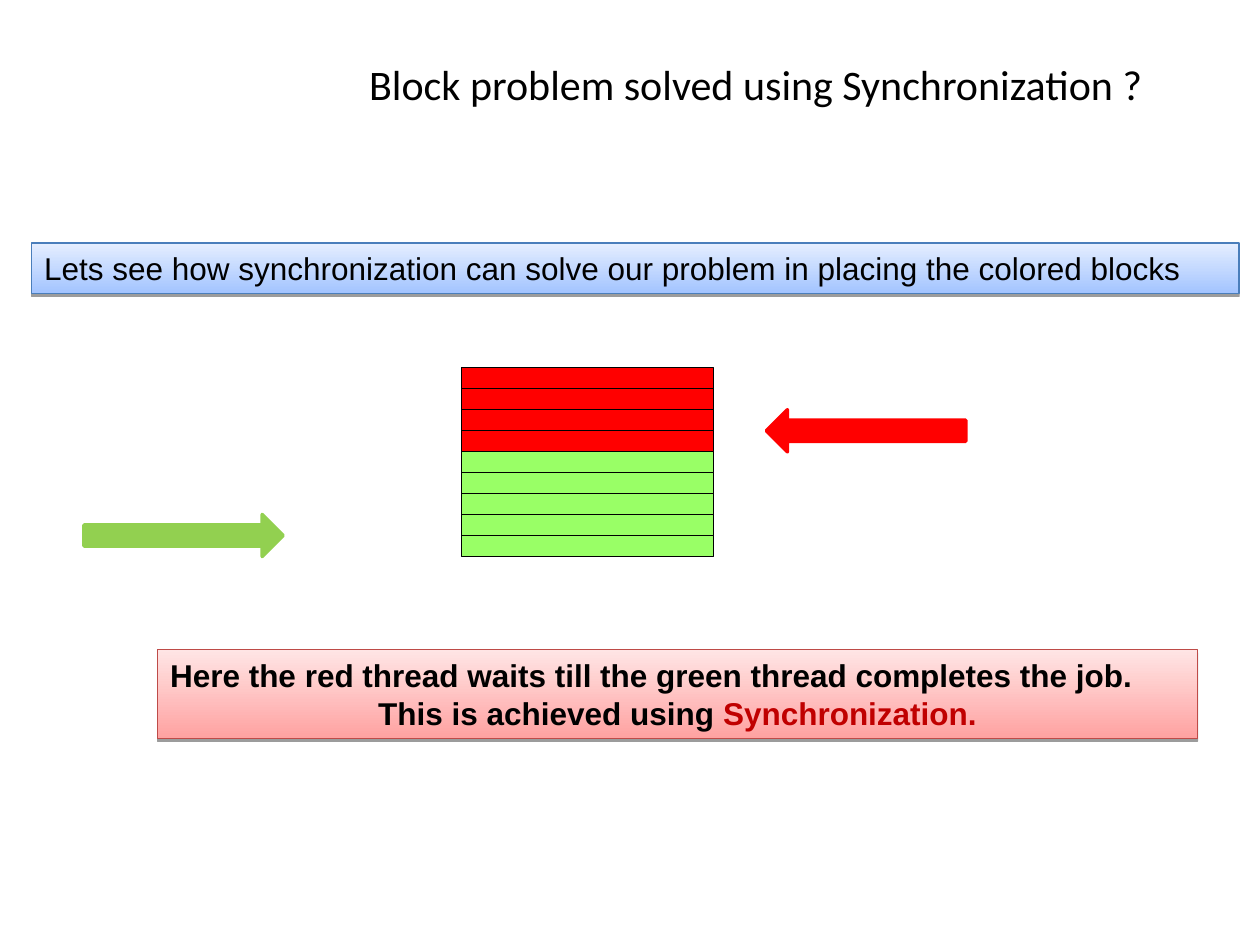
"""Build a slide on how synchronization orders the work of two threads."""
import pptx
import pptx.dml.color
import pptx.enum.shapes
import pptx.enum.text
import pptx.oxml
import pptx.util
from pptx.util import Cm

SHAPES = pptx.enum.shapes.MSO_SHAPE
ALIGN = pptx.enum.text.PP_ALIGN
ANCHOR = pptx.enum.text.MSO_ANCHOR

THEME = {
    "colors": {
        "text": "000000", "accent": "C00000", "outline": "000000",
        "red": "FF0000", "green block": "99FF66", "green arrow": "92D050",
        "blue banner": ("A3C4FF", "E5EEFF", "4A7EBB"),
        "red banner": ("FFA2A1", "FFE5E5", "BE4B48"),
    },
    "title": ("Calibri", 24),
    "body": ("Arial", 18),
    "thin": 0.75,
    "thick": 2,
}

TITLE = "Block problem solved using Synchronization ?"
TITLE_BOX = (4.02, 0, 22.43, 3.39)
ARROWS = [
    ("red", (15.45, 8.26, 4.02, 0.85), 0),
    ("green arrow", (1.69, 10.37, 4.02, 0.85), 180),
]
BLOCKS = ["red"] * 4 + ["green block"] * 5
STACK_BOX = (9.31, 7.41, 5.08, 3.81)
BANNERS = [
    {
        "style": "red banner", "box": (3.18, 13.1, 20.96, 1.79), "bold": True,
        "lines": [
            (ALIGN.LEFT, [("Here the red thread waits till the green thread completes the job.", "text")]),
            (ALIGN.CENTER, [("This is achieved using ", "text"), ("Synchronization.", "accent")]),
        ],
    },
    {
        "style": "blue banner", "box": (0.64, 4.9, 24.34, 1.02), "bold": False,
        "lines": [
            (ALIGN.LEFT, [("Lets see how synchronization can solve our problem "
                           "in placing the colored blocks", "text")]),
        ],
    },
]
SHADOW = (
    '<a:outerShdw xmlns:a="http://schemas.openxmlformats.org/drawingml/2006/main"'
    ' blurRad="0" dist="20000" dir="5400000" rotWithShape="0">'
    '<a:srgbClr val="000000"><a:alpha val="38000"/></a:srgbClr></a:outerShdw>'
)


def rgb(value):
    return pptx.dml.color.RGBColor.from_string(value)


def set_font(font, role, bold=False):
    name, size = THEME[role]
    font.name, font.size, font.bold = name, pptx.util.Pt(size), bold
    font.color.rgb = rgb(THEME["colors"]["text"])


def add_shape(slide, kind, box, line_color, line_width):
    shape = slide.shapes.add_shape(kind, *map(Cm, box))
    shape.shadow.inherit = False
    shape.line.color.rgb = rgb(line_color)
    shape.line.width = pptx.util.Pt(line_width)
    return shape


def fill_solid(shape, color):
    shape.fill.solid()
    shape.fill.fore_color.rgb = rgb(color)


def add_title(slide):
    title = slide.shapes.title
    title.left, title.top, title.width, title.height = map(Cm, TITLE_BOX)
    title.text_frame.text = TITLE
    title.text_frame.vertical_anchor = ANCHOR.MIDDLE
    paragraph = title.text_frame.paragraphs[0]
    paragraph.alignment = ALIGN.CENTER
    set_font(paragraph.font, "title")


def add_arrows(slide):
    for color_name, box, rotation in ARROWS:
        color = THEME["colors"][color_name]
        arrow = add_shape(slide, SHAPES.LEFT_ARROW, box, color, THEME["thick"])
        arrow.rotation = rotation
        fill_solid(arrow, color)


def add_stack(slide):
    left, top, width, height = STACK_BOX
    step = height / len(BLOCKS)
    for row, color_name in reversed(list(enumerate(BLOCKS))):
        box = (left, top + row * step, width, step)
        block = add_shape(slide, SHAPES.RECTANGLE, box, THEME["colors"]["outline"], THEME["thin"])
        fill_solid(block, THEME["colors"][color_name])


def add_banner(slide, banner):
    *gradient, outline = THEME["colors"][banner["style"]]
    shape = add_shape(slide, SHAPES.RECTANGLE, banner["box"], outline, THEME["thin"])
    shape.fill.gradient()
    shape.fill.gradient_angle = 90
    for stop, color in zip(shape.fill.gradient_stops, gradient):
        stop.color.rgb = rgb(color)
    effects = shape.element.spPr.find(pptx.oxml.ns.qn("a:effectLst"))
    effects.append(pptx.oxml.parse_xml(SHADOW))

    frame = shape.text_frame
    frame.word_wrap = True
    frame.auto_size = pptx.enum.text.MSO_AUTO_SIZE.SHAPE_TO_FIT_TEXT
    frame.vertical_anchor = ANCHOR.TOP
    for index, (alignment, runs) in enumerate(banner["lines"]):
        paragraph = frame.add_paragraph() if index else frame.paragraphs[0]
        paragraph.alignment = alignment
        set_font(paragraph.font, "body", banner["bold"])
        for text, color_name in runs:
            run = paragraph.add_run()
            run.text = text
            run.font.color.rgb = rgb(THEME["colors"][color_name])


def main():
    presentation = pptx.Presentation()
    presentation.slide_width, presentation.slide_height = Cm(25.4), Cm(19.05)
    slide = presentation.slides.add_slide(presentation.slide_layouts.get_by_name("Title Only"))
    add_title(slide)
    add_arrows(slide)
    add_stack(slide)
    for banner in BANNERS:
        add_banner(slide, banner)
    presentation.save("out.pptx")


if __name__ == "__main__":
    main()
